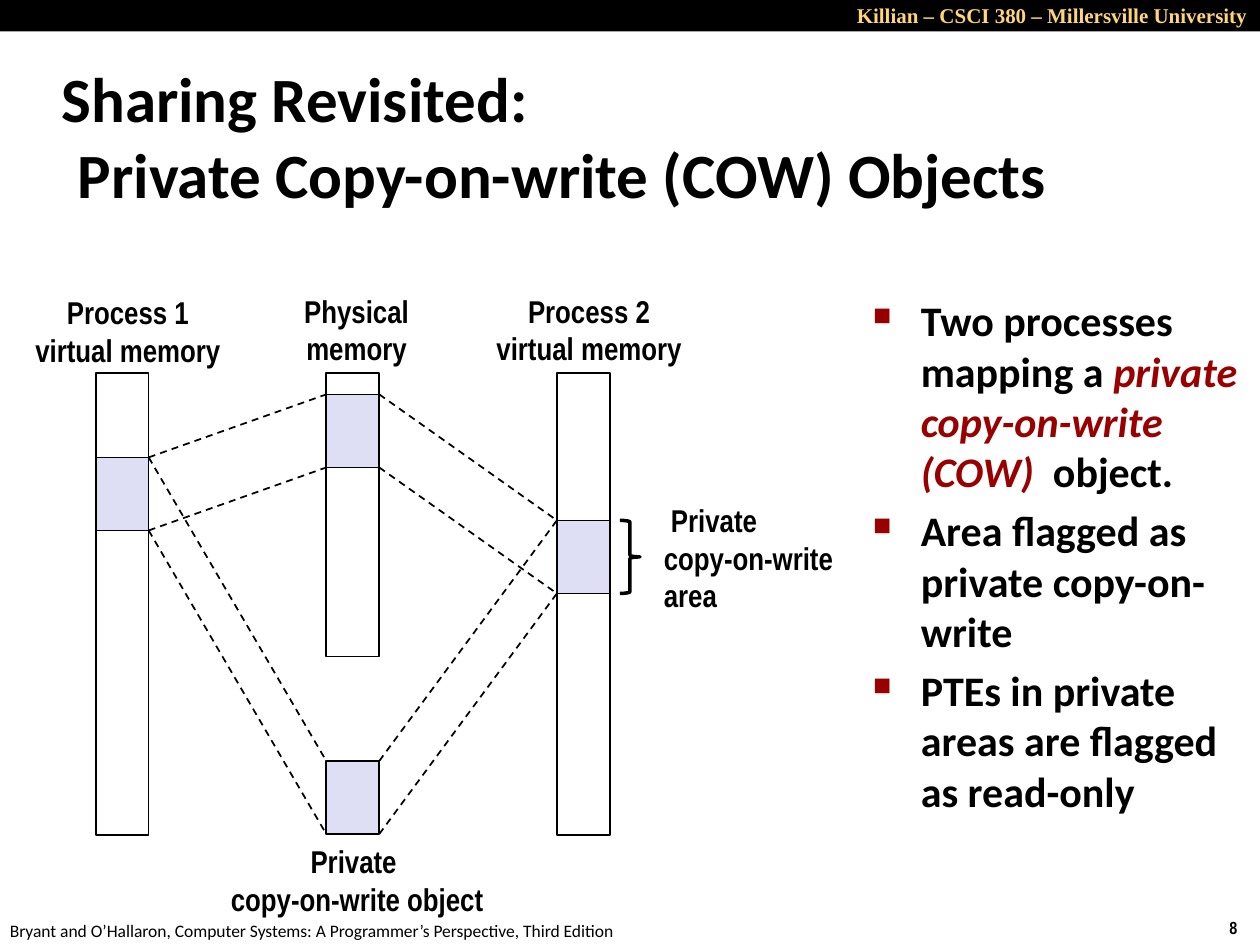
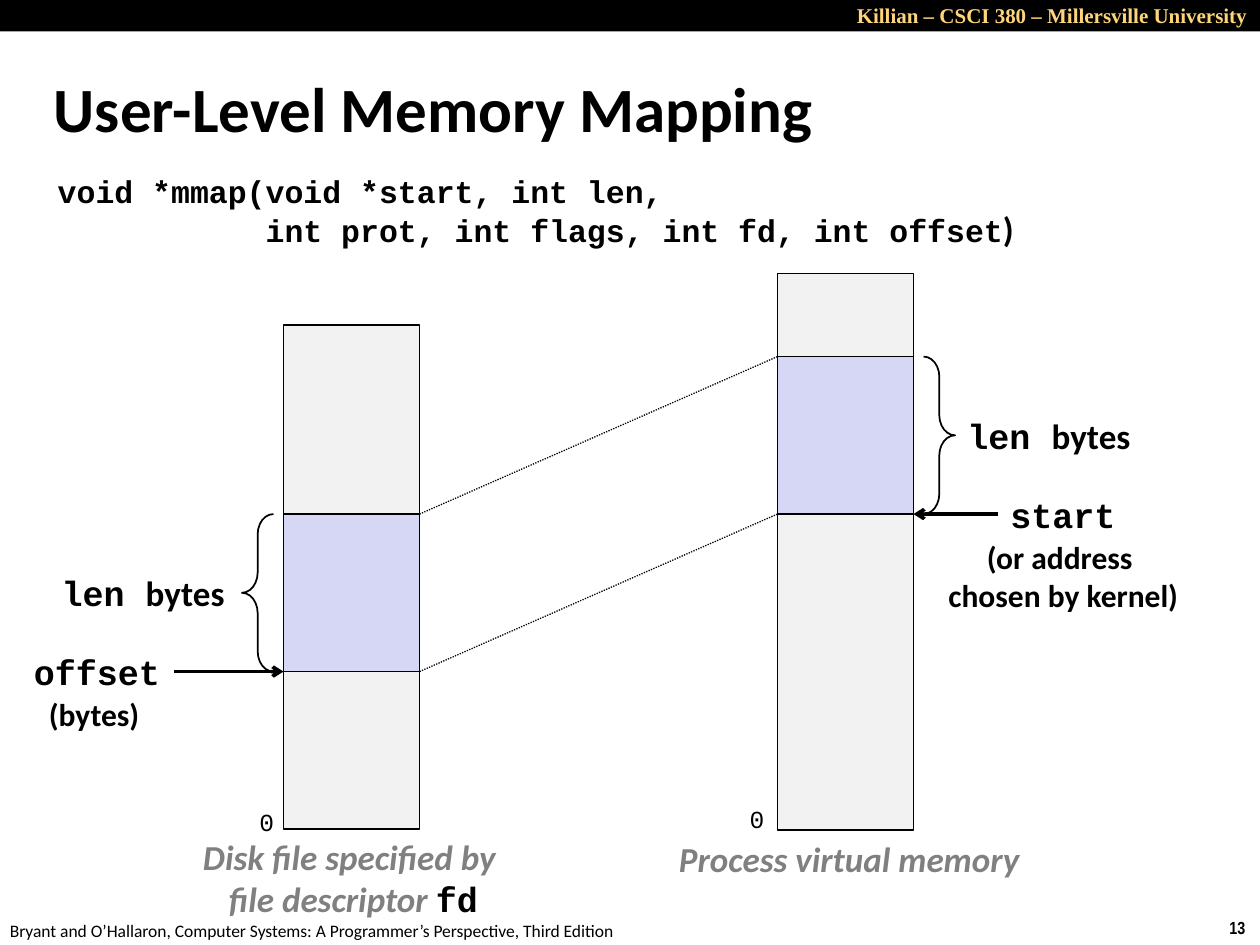
from pptx import Presentation
from pptx.dml.color import RGBColor
from pptx.enum.dml import MSO_LINE
from pptx.enum.shapes import MSO_CONNECTOR, MSO_SHAPE
from pptx.enum.text import MSO_ANCHOR, PP_ALIGN
from pptx.oxml.ns import qn
from pptx.util import Inches, Pt
from lxml.etree import SubElement

HUES = {"ink": "000000", "gold": "FFD579", "red": "990000", "gray": "808080",
        "lilac": "DEDFF5", "blue": "D6D6F5", "pale": "F2F2F2"}
HEAD = "Killian – CSCI 380 – Millersville University"
FOOT = "Bryant and O’Hallaron, Computer Systems: A Programmer’s Perspective, Third Edition"
LEFT, MID, RIGHT = PP_ALIGN.LEFT, PP_ALIGN.CENTER, PP_ALIGN.RIGHT


def style(run, face, size, hue="ink", bold=True, slant=False):
    run.font.name = face
    run.font.size = Pt(size)
    run.font.bold = bold
    run.font.italic = slant
    run.font.color.rgb = RGBColor.from_string(HUES[hue])


def write(slide, box, parts, align=LEFT, wrap=False, anchor=MSO_ANCHOR.TOP):
    frame = slide.shapes.add_textbox(*map(Inches, box)).text_frame
    frame.word_wrap = wrap
    frame.vertical_anchor = anchor
    para = frame.paragraphs[0]
    for i, (words, *look) in enumerate(parts):
        for j, line in enumerate(words.split("\n")):
            if j:
                para = frame.add_paragraph()
            if i and not j:
                run = para.add_run()
                run.text = line
            else:
                para.text = line
            para.alignment = align
            for run in para.runs[-1:] if i and not j else para.runs:
                style(run, *look)
    return frame


deck = Presentation()
deck.slide_width, deck.slide_height = Inches(10), Inches(7.5)
cow, user = [deck.slides.add_slide(deck.slide_layouts[6]) for _ in range(2)]

titles = [
    (cow, "8", (0.39, 0.48, 8.3, 1.19),
     "Sharing Revisited: \vPrivate Copy-on-write (COW) Objects"),
    (user, "13", (0.33, 0.54, 7.94, 0.63), "User-Level Memory Mapping"),
]
for slide, num, box, title in titles:
    band = slide.shapes.add_shape(MSO_SHAPE.RECTANGLE, 0, 0, Inches(10), Inches(0.25))
    band.shadow.inherit = False
    band.fill.solid()
    band.fill.fore_color.rgb = RGBColor.from_string(HUES["ink"])
    band.line.fill.background()
    write(slide, (6.17, -0.03, 3.83, 0.3), [(HEAD, "Times New Roman", 12, "gold")], RIGHT, True)
    write(slide, (9.66, 7.23, 0.34, 0.27), [(num, "Arial Narrow", 10)])
    write(slide, (-0.02, 7.25, 5.08, 0.27), [(FOOT, "Calibri", 10, "ink", False)])
    frame = write(slide, box, [(title, "Calibri", 36)], LEFT, True, MSO_ANCHOR.MIDDLE)
    props = frame.paragraphs[0]._p.get_or_add_pPr()
    props.set("marL", str(Inches(0.13)))
    props.set("indent", str(-Inches(0.13)))

one, phys, two = [0.76 + 1.83 * i for i in range(3)]
wide, page = 0.42, 0.58
disk, proc = 2.25, 6.17
span, size = 1.08, 1.25
bars = [
    (cow, one, 2.96, wide, 3.67, None),
    (cow, phys, 2.96, wide, 2.25, None),
    (cow, two, 2.96, wide, 3.67, None),
    (cow, one, 3.63, wide, page, "lilac"),
    (cow, phys, 3.13, wide, page, "lilac"),
    (cow, two, 4.13, wide, page, "lilac"),
    (cow, phys, 6.04, wide, page, "lilac"),
    (user, disk, 2.58, span, 4, "pale"),
    (user, disk, 4.08, span, size, "blue"),
    (user, proc, 2.17, span, 4.42, "pale"),
    (user, proc, 2.83, span, size, "blue"),
]
for slide, x, y, w, h, hue in bars:
    bar = slide.shapes.add_shape(MSO_SHAPE.RECTANGLE, *map(Inches, (x, y, w, h)))
    bar.shadow.inherit = False
    bar.line.color.rgb = RGBColor.from_string(HUES["ink"])
    bar.line.width = Pt(1)
    if hue:
        bar.fill.solid()
        bar.fill.fore_color.rgb = RGBColor.from_string(HUES[hue])
    else:
        bar.fill.background()

lines = [
    (user, 7.92, 4.08, proc + span, 4.08, 2, None),
    (user, 1.38, 5.33, disk, 5.33, 2, None),
]
for dy in (0, page):
    for y in (6.04, 3.13):
        lines += [
            (cow, one + wide, 3.63 + dy, phys, y + dy, 1, MSO_LINE.DASH),
            (cow, phys + wide, y + dy, two, 4.13 + dy, 1, MSO_LINE.DASH),
        ]
for dy in (0, size):
    lines.append((user, disk + span, 4.08 + dy, proc, 2.83 + dy, 0.75, MSO_LINE.ROUND_DOT))
for slide, x1, y1, x2, y2, thick, dash in lines:
    link = slide.shapes.add_connector(MSO_CONNECTOR.STRAIGHT, *map(Inches, (x1, y1, x2, y2)))
    link.line.color.rgb = RGBColor.from_string(HUES["ink"])
    link.line.width = Pt(thick)
    if dash:
        link.line.dash_style = dash
    else:
        SubElement(link.line._get_or_add_ln(), qn("a:tailEnd"), type="arrow")
    SubElement(link._element.spPr, qn("a:effectLst"))

braces = [
    (cow, MSO_SHAPE.RIGHT_BRACE, (4.92, 4.13, 0.16, page), 2, 0.08),
    (user, MSO_SHAPE.RIGHT_BRACE, (7.33, 2.83, 0.25, size), 1, 0.64),
    (user, MSO_SHAPE.LEFT_BRACE, (1.92, 4.08, 0.25, size), 1, 0.64),
]
for slide, kind, box, thick, bend in braces:
    brace = slide.shapes.add_shape(kind, *map(Inches, box))
    brace.shadow.inherit = False
    brace.fill.background()
    brace.line.color.rgb = RGBColor.from_string(HUES["ink"])
    brace.line.width = Pt(thick)
    brace.adjustments[0] = bend

tags = [
    ((0.17, 2.27, 1.69, 0.71), "Process 1\nvirtual memory", MID),
    ((2.31, 2.26, 1.04, 0.71), "Physical\nmemory", MID),
    ((3.83, 2.26, 1.69, 0.71), "Process 2\nvirtual memory", MID),
    ((1.72, 6.63, 2.23, 0.71), "Private \ncopy-on-write object", MID),
    ((5.17, 3.92, 1.58, 1.01), " Private\ncopy-on-write\narea", LEFT),
]
for box, words, align in tags:
    write(cow, box, [(words, "Arial Narrow", 18)], align, anchor=MSO_ANCHOR.MIDDLE)

points = write(cow, (6.83, 2.29, 3.17, 4.58), [
    ("Two processes mapping a ", "Calibri", 24),
    ("private copy-on-write (COW)  ", "Calibri", 24, "red", True, True),
    ("object.\nArea flagged as private copy-on-write\n"
     "PTEs in private areas are flagged as read-only", "Calibri", 24),
], wrap=True)
for para in points.paragraphs:
    para.space_before = Pt(4.8)
    props = para._p.get_or_add_pPr()
    props.set("marL", str(Inches(0.38)))
    props.set("indent", str(-Inches(0.38)))
    tint = SubElement(props, qn("a:buClr"))
    SubElement(tint, qn("a:srgbClr"), val=HUES["red"])
    SubElement(props, qn("a:buSzPct"), val="60000")
    SubElement(props, qn("a:buChar"), char="■")

code = write(user, (0.36, 1.34, 9.09, 0.91), [
    ("void *mmap(void *start, int len,\n"
     "           int prot, int flags, int fd, int offset", "Courier New", 18),
    (")", "Calibri", 20),
], wrap=True)
for para in code.paragraphs:
    para.line_spacing = 0.94

for x, y in ((7.58, 3.24), (0.39, 4.49)):
    write(user, (x, y, 1.51, 0.44), [("len ", "Courier New", 20), ("bytes", "Calibri", 20)])
for x, y in ((1.96, 6.36), (5.85, 6.33)):
    write(user, (x, y, 0.32, 0.34), [("0", "Courier New", 14, "ink", False)])
write(user, (7.92, 3.87, 1.04, 0.44), [("start", "Courier New", 20)])
write(user, (0.17, 5.11, 1.21, 0.44), [("offset", "Courier New", 20)])
write(user, (0.29, 5.47, 0.92, 0.4), [("(bytes)", "Calibri", 18)])
write(user, (7.42, 4.22, 2.04, 0.71), [("(or address \nchosen by kernel)", "Calibri", 18)], MID)
note = ("Calibri", 20, "gray", True, True)
write(user, (5.29, 6.6, 2.92, 0.44), [("Process virtual memory", *note)])
write(user, (1.5, 6.58, 2.61, 0.77), [
    ("Disk file specified by \nfile descriptor ", *note),
    ("fd", "Courier New", 20),
], MID)

deck.save("out.pptx")
